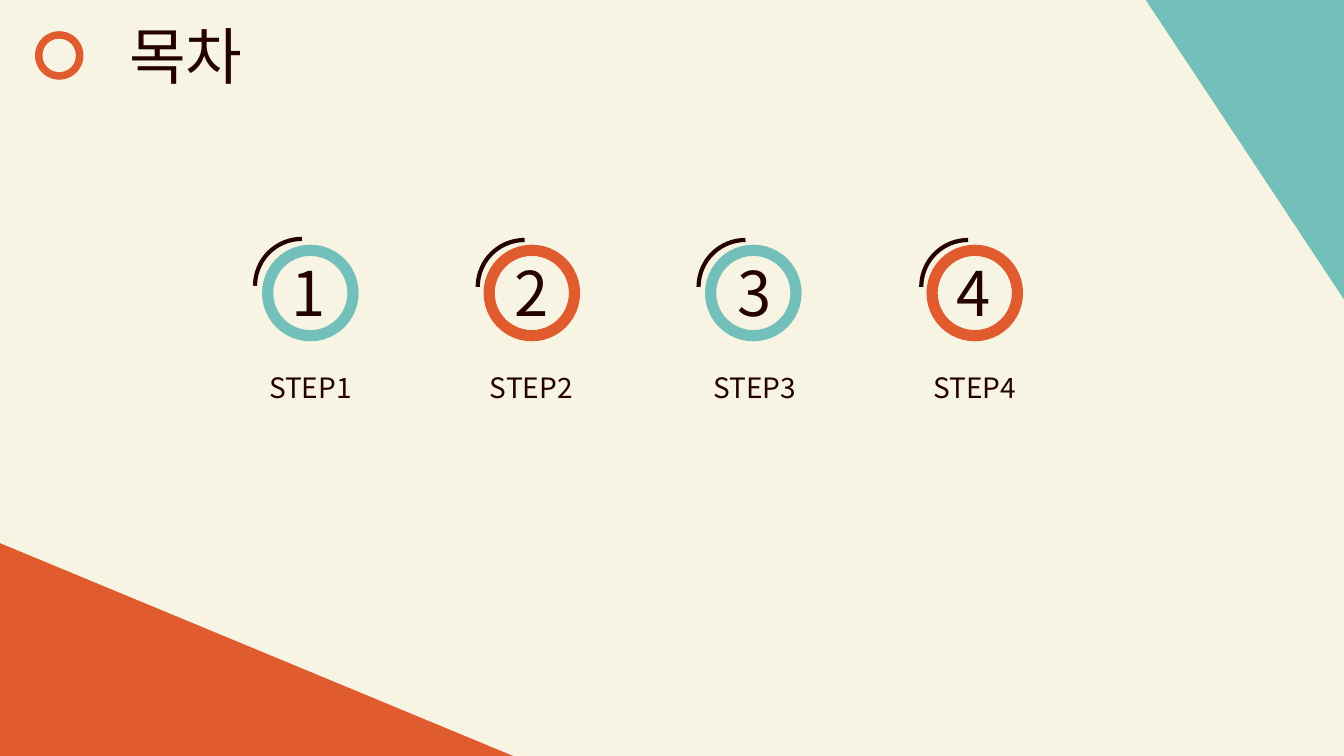
from lxml.etree import SubElement
from pptx import Presentation
from pptx.dml.color import RGBColor
from pptx.enum.shapes import MSO_SHAPE as Shape
from pptx.enum.text import MSO_AUTO_SIZE as AutoSize, PP_ALIGN as Align
from pptx.oxml.ns import qn
from pptx.util import Pt

CREAM, ORANGE, TEAL, DARK = "F7F4E3", "E05B2E", "73C0BA", "240202"
FONT = "Noto Sans CJK KR"


def paint(target, color):
    target.solid()
    target.fore_color.rgb = RGBColor.from_string(color)


def add_figure(shapes, kind, left, top, width, height, fill=None, line=None, weight=0):
    figure = shapes.add_shape(kind, Pt(left), Pt(top), Pt(width), Pt(height))
    figure.shadow.inherit = False
    if fill:
        paint(figure.fill, fill)
    else:
        figure.fill.background()
    if line:
        paint(figure.line.fill, line)
        figure.line.width = Pt(weight)
    else:
        figure.line.fill.background()
    return figure


deck = Presentation()
deck.slide_width, deck.slide_height = Pt(960), Pt(540)
page = deck.slides.add_slide(deck.slide_layouts[6])
paint(page.background.fill, CREAM)

# Corner triangles
corners = page.shapes.add_group_shape().shapes
bottom_corner = add_figure(corners, Shape.ISOSCELES_TRIANGLE, 0, 388, 375, 155.5, ORANGE)
bottom_corner.adjustments[0] = 0
top_corner = add_figure(corners, Shape.ISOSCELES_TRIANGLE, 782, 36, 214.5, 142, TEAL)
top_corner.adjustments[0] = 1
top_corner.rotation = 270

# Title ring
title_ring = page.shapes.add_group_shape().shapes
add_figure(title_ring, Shape.OVAL, 25, 22.3, 34.6, 34.6, ORANGE)
add_figure(title_ring, Shape.OVAL, 30.4, 27.7, 23.8, 23.8, CREAM)

# Step rings with their arcs; texts are gathered as (wording, size, left, top, width, height)
texts = [("목차", 44, 43.9, 9.4, 177.8, 60.5)]
steps = [  # arc left, arc top, number left, label left
    (182.2, 170.6, 191.5, 175),
    (341.3, 171.4, 350.3, 332.8),
    (499, 171.4, 509.5, 492.2),
    (658.1, 171.4, 666.4, 649.4),
]
for index, (arc_left, arc_top, number_left, label_left) in enumerate(steps):
    ring_color = (TEAL, ORANGE)[index % 2]
    add_figure(page.shapes, Shape.OVAL, 191.2 + 158.2 * index, 178.8, 61, 61,
               line=ring_color, weight=8)
    arc = add_figure(page.shapes, Shape.ARC, arc_left, arc_top, 67, 67, line=DARK, weight=3)
    arc.rotation = 270
    texts.append((f"{index + 1}", 44, number_left, 178.6, 58.3, 60.5))
    texts.append((f"STEP{index + 1}", 20, label_left, 261.4, 93.6, 31.5))

# Title, numbers and labels
for wording, size, left, top, width, height in texts:
    box = page.shapes.add_textbox(Pt(left), Pt(top), Pt(width), Pt(height))
    box.text_frame.word_wrap = True
    box.text_frame.auto_size = AutoSize.SHAPE_TO_FIT_TEXT
    para = box.text_frame.paragraphs[0]
    para.text = wording
    para.alignment = Align.CENTER
    para.font.size = Pt(size)
    para.font.name = FONT
    para.font.color.rgb = RGBColor.from_string(DARK)
    # Hangul takes its font from the East Asian slot
    SubElement(para._p.pPr.find(qn("a:defRPr")), qn("a:ea")).set("typeface", FONT)

deck.save("out.pptx")
